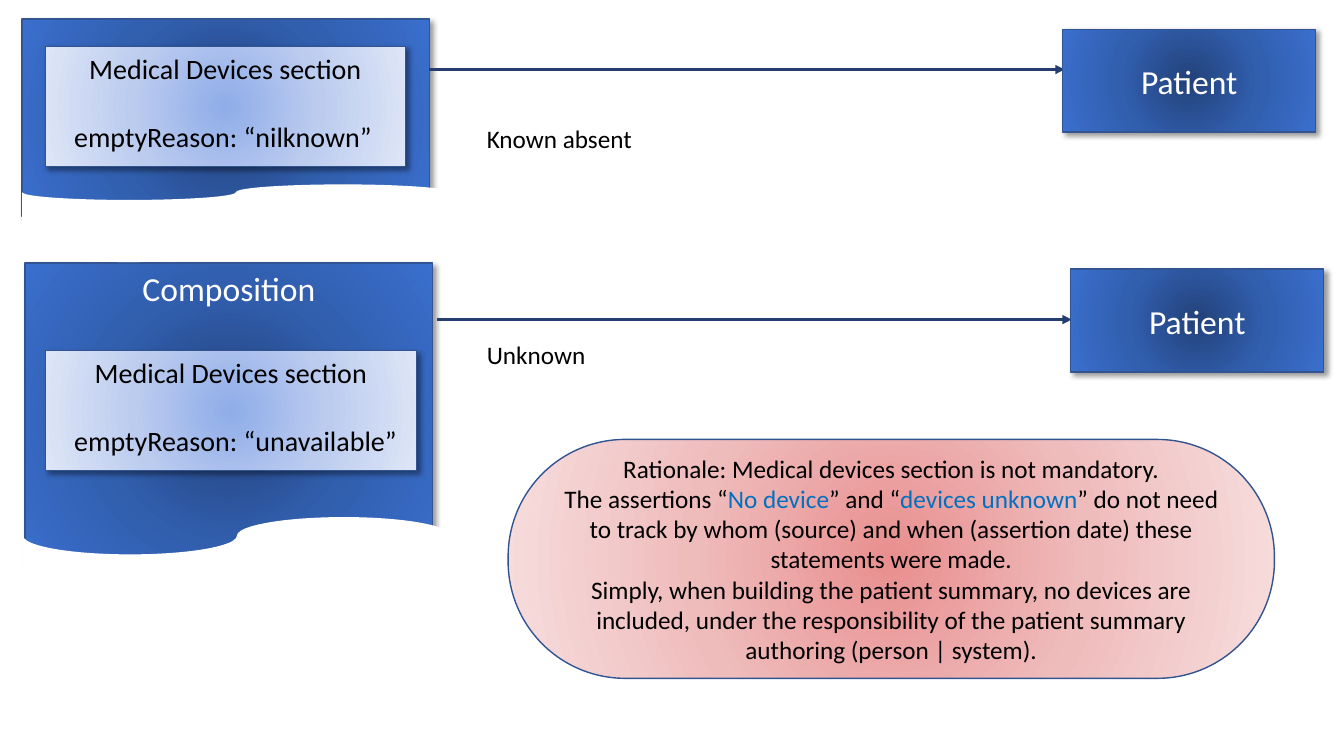
import lxml.etree
import pptx
import pptx.dml.color
import pptx.enum.shapes
import pptx.enum.text
import pptx.oxml.ns
import pptx.util

KIND = pptx.enum.shapes.MSO_SHAPE
ALIGN = pptx.enum.text.PP_ALIGN
ANCHOR = pptx.enum.text.MSO_ANCHOR

NAVY = ("23427A", "315EAD", "3A6FCE")
PALE = ("8FADE9", "BCCCEF", "DEE6F7")
ROSE = ("E98F8F", "EFBCBC", "F7DEDE")
EDGE, ARROW, LINK = "325491", "233E6F", "0070C0"
WHITE, BLACK = "FFFFFF", "000000"


def paint(code):
    return pptx.dml.color.RGBColor.from_string(code)


def node(parent, tag, **attrs):
    return lxml.etree.SubElement(parent, pptx.oxml.ns.qn(tag), attrs)


class Board:
    """Draws styled elements on one slide, placed on a grid of tenth-inch cells."""

    font = "Calibri"
    cell = pptx.util.Inches(0.1)

    def __init__(self, slide):
        self.slide = slide

    def grid(self, *cells):
        return [round(n * self.cell) for n in cells]

    def letter(self, shape, paras, size, color, align=ALIGN.CENTER, anchor=ANCHOR.MIDDLE):
        frame = shape.text_frame
        frame.word_wrap = True
        frame.vertical_anchor = anchor
        for i, runs in enumerate(paras):
            para = frame.add_paragraph() if i else frame.paragraphs[0]
            para.alignment = align
            para.font.name = self.font
            para.font.size = pptx.util.Pt(size)
            para.font.color.rgb = paint(color)
            for text, tint in [(runs, None)] if isinstance(runs, str) else runs:
                run = para.add_run()
                run.text = text
                if tint:
                    run.font.color.rgb = paint(tint)
        return frame

    def shade(self, shape, colors):
        shape.fill.gradient()
        grad = shape._element.spPr.find(pptx.oxml.ns.qn("a:gradFill"))
        for child in list(grad):
            grad.remove(child)
        stops = node(grad, "a:gsLst")
        for i, color in enumerate(colors):
            node(node(stops, "a:gs", pos=str(i * 50000)), "a:srgbClr", val=color)
        focus = node(grad, "a:path", path="circle")
        node(focus, "a:fillToRect", l="50000", t="50000", r="50000", b="50000")

    def box(self, place, colors, kind=KIND.RECTANGLE, shadow=True):
        shape = self.slide.shapes.add_shape(kind, *self.grid(*place))
        self.shade(shape, colors)
        shape.line.color.rgb = paint(EDGE)
        shape.line.width = pptx.util.Pt(1)
        shape.shadow.inherit = False
        if shadow:
            effects = shape._element.spPr.find(pptx.oxml.ns.qn("a:effectLst"))
            drop = node(effects, "a:outerShdw", blurRad="50800", dist="38100",
                        dir="2700000", algn="tl", rotWithShape="0")
            node(node(drop, "a:srgbClr", val=BLACK), "a:alpha", val="40000")
        return shape

    def section(self, place, reason):
        shape = self.box(place, PALE)
        lines = ["Medical Devices section", f"emptyReason: “{reason}”"]
        frame = self.letter(shape, lines, 20, BLACK, anchor=ANCHOR.TOP)
        title, detail = frame.paragraphs
        title.space_after = pptx.util.Pt(24.4)
        detail.alignment = ALIGN.LEFT
        detail._p.get_or_add_pPr().set("marL", str(int(pptx.util.Pt(13.5))))

    def wave(self, place):
        shape = self.slide.shapes.add_shape(KIND.FLOWCHART_PUNCHED_TAPE, *self.grid(*place))
        shape.fill.solid()
        shape.fill.fore_color.rgb = paint(WHITE)
        shape.line.fill.background()
        shape.shadow.inherit = False

    def patient(self, left, top):
        self.letter(self.box((left, top, 25.1, 10.2), NAVY), ["Patient"], 24, WHITE)

    def arrow(self, left, top, width=63):
        elbow = pptx.enum.shapes.MSO_CONNECTOR.ELBOW
        ends = self.grid(left, top, left + width, top)
        link = self.slide.shapes.add_connector(elbow, *ends)
        link.line.color.rgb = paint(ARROW)
        link.line.width = pptx.util.Pt(2.25)
        edge = link._element.spPr.find(pptx.oxml.ns.qn("a:ln"))
        node(edge, "a:tailEnd", type="triangle")
        node(link._element.spPr, "a:effectLst")

    def label(self, left, top, text):
        shape = self.slide.shapes.add_textbox(*self.grid(left, top, 20.6, 4))
        self.letter(shape, [text], 18, BLACK, ALIGN.LEFT, ANCHOR.TOP)


def main():
    deck = pptx.Presentation()
    deck.slide_width = pptx.util.Inches(13.33)
    deck.slide_height = pptx.util.Inches(7.5)
    board = Board(deck.slides.add_slide(deck.slide_layouts[6]))

    lower = board.box((2.5, 26.1, 40.4, 30.5), NAVY)
    board.letter(lower, ["Composition"], 24, WHITE, anchor=ANCHOR.TOP)
    board.box((2.2, 1.9, 40.4, 19.6), NAVY)
    board.arrow(42.6, 6.9)
    board.section((4.5, 4.6, 35.7, 11.9), "nilknown")
    board.wave((2.2, 18.3, 42.4, 7.7))
    board.patient(105.4, 2.9)

    note = board.box((50.4, 43.6, 76, 23.7), ROSE, KIND.ROUNDED_RECTANGLE, shadow=False)
    note.adjustments[0] = 0.49
    board.letter(note, [
        "Rationale: Medical devices section is not mandatory.",
        [("The assertions “", None), ("No device", LINK), ("” and “", None),
         ("devices unknown", LINK),
         ("” do not need to track by whom (source) and when (assertion date) "
          "these statements were made.", None)],
        "Simply, when building the patient summary, no devices are included, under "
        "the responsibility of the patient summary authoring (person | system).",
    ], 18, BLACK)

    board.arrow(43.3, 31.7)
    board.section((4.5, 34.8, 36.8, 11.9), "unavailable")
    board.wave((2.3, 51.3, 42.4, 18.5))
    board.patient(106.2, 26.7)
    board.label(47.3, 11.7, "Known absent")
    board.label(47.3, 33.2, "Unknown")
    deck.save("out.pptx")


if __name__ == "__main__":
    main()
